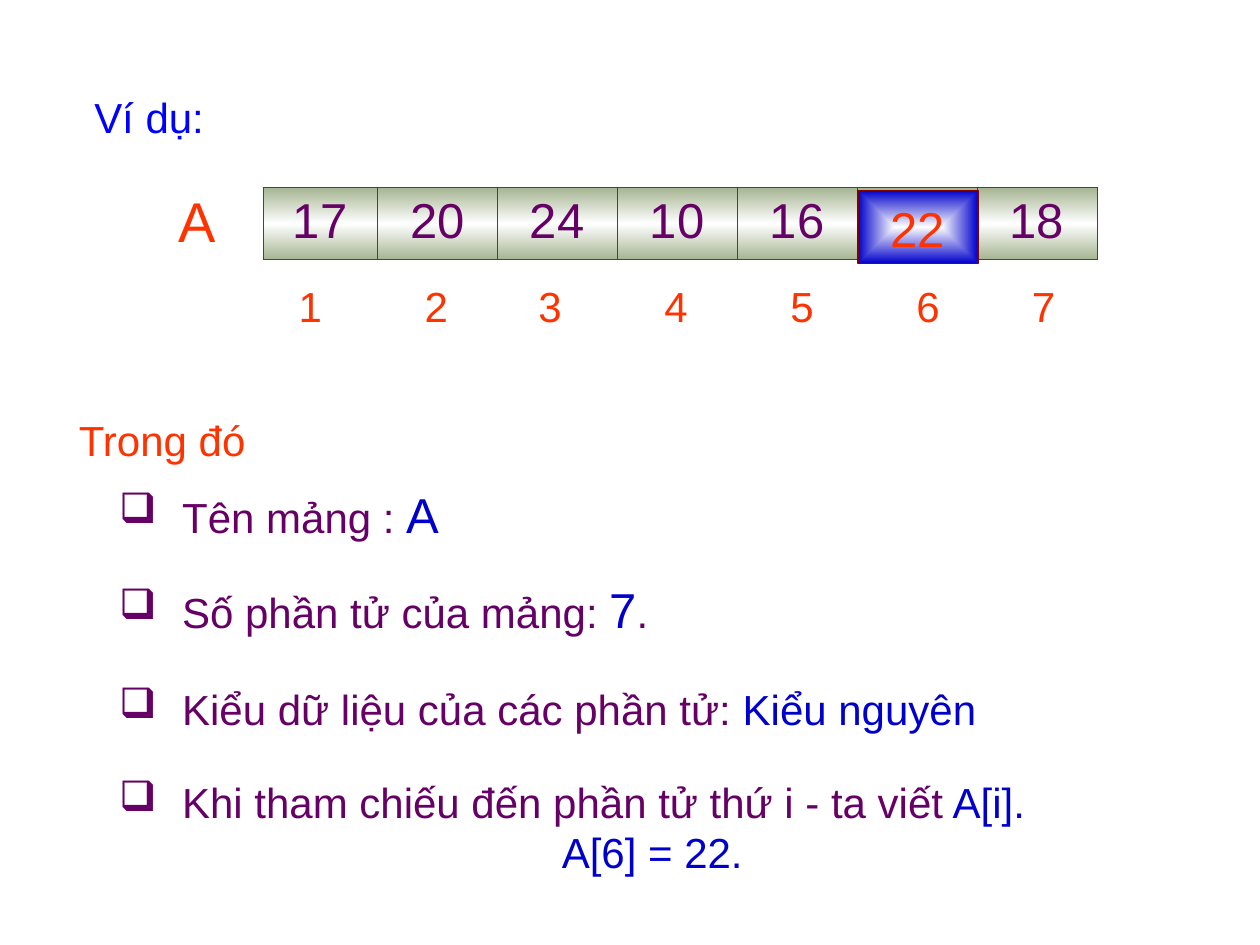
from lxml import etree
from pptx import Presentation
from pptx.dml.color import RGBColor
from pptx.enum import shapes, text
from pptx.oxml import ns
from pptx.util import Pt

COLORS = {
    "purple": "660066", "red": "FF3300", "blue": "0000CC", "title": "0000FF",
    "border": "9900CC", "frame": "800000", "sage": "A5B592",
    "white": "FFFFFF", "glow": "FEFEFE",
}
VALUES = [17, 20, 24, 10, 16, 22, 18]
FIRST_WIDTH, CELL_WIDTH = 65.3, 68.55
HIGHLIGHT = 5
INDEX_TABS = [20, 92, 157, 229, 301, 373, 439]
FONT = "Arial"


def add_node(parent, tag, **attributes):
    return etree.SubElement(parent, ns.qn(tag), attributes)


def add_solid(parent, color):
    solid = add_node(parent, "a:solidFill")
    add_node(solid, "a:srgbClr", val=COLORS[color])


def make_gradient(parent, stops):
    gradient = add_node(parent, "a:gradFill", rotWithShape="1")
    stop_list = add_node(gradient, "a:gsLst")
    for position, color in stops:
        stop = add_node(stop_list, "a:gs", pos=str(position * 1000))
        add_node(stop, "a:srgbClr", val=COLORS[color])
    return gradient


def style_font(font, size, color):
    font.name = FONT
    font.size = Pt(size)
    font.color.rgb = RGBColor.from_string(COLORS[color])


def add_label(page, area, content, size, color, spacing=None):
    left, top, width, height = area
    box = page.shapes.add_textbox(Pt(left), Pt(top), Pt(width), Pt(height))
    box.text_frame.word_wrap = True
    para = box.text_frame.paragraphs[0]
    para.text = content
    para.line_spacing = spacing
    style_font(para.font, size, color)
    return box


def set_indent(para, margin, indent=0):
    properties = para._p.get_or_add_pPr()
    properties.set("marL", str(Pt(margin)))
    properties.set("indent", str(Pt(indent)))
    return properties


def add_array(page, left, top, height):
    widths = [FIRST_WIDTH] + [CELL_WIDTH] * (len(VALUES) - 1)
    frame = page.shapes.add_table(
        1, len(VALUES), Pt(left), Pt(top), Pt(sum(widths)), Pt(height))
    table = frame.table
    table.first_row = table.horz_banding = False
    for column, (width, value) in enumerate(zip(widths, VALUES)):
        table.columns[column].width = Pt(width)
        cell = table.cell(0, column)
        para = cell.text_frame.paragraphs[0]
        para.text = str(value)
        para.alignment = text.PP_ALIGN.CENTER
        style_font(para.font, 28, "purple")
        properties = cell._tc.get_or_add_tcPr()
        for side in ("a:lnL", "a:lnR", "a:lnT", "a:lnB"):
            add_solid(add_node(properties, side, w=str(Pt(0.45))), "border")
        gradient = make_gradient(
            properties, [(0, "sage"), (50, "white"), (100, "sage")])
        add_node(gradient, "a:lin", ang="5400000", scaled="0")
    add_highlight(page, left + sum(widths[:HIGHLIGHT]) + 0.5, top + 1.5, CELL_WIDTH, 41.8)


def add_highlight(page, left, top, width, height):
    box = page.shapes.add_shape(
        shapes.MSO_SHAPE.RECTANGLE, Pt(left), Pt(top), Pt(width), Pt(height))
    box.shadow.inherit = False
    box.line.color.rgb = RGBColor.from_string(COLORS["frame"])
    box.line.width = Pt(1)
    gradient = make_gradient(box._element.spPr, [(0, "glow"), (100, "blue")])
    route = add_node(gradient, "a:path", path="rect")
    add_node(route, "a:fillToRect", l="50000", t="50000", r="50000", b="50000")
    box._element.spPr.find(ns.qn("a:prstGeom")).addnext(gradient)
    box.text_frame.vertical_anchor = text.MSO_ANCHOR.BOTTOM
    para = box.text_frame.paragraphs[0]
    para.text = str(VALUES[HIGHLIGHT])
    para.alignment = text.PP_ALIGN.CENTER
    style_font(para.font, 28, "red")


def add_indices(page, left, top, width, height):
    numbers = "".join(f"\t{number}" for number in range(1, len(VALUES) + 1))
    box = page.shapes.add_textbox(Pt(left), Pt(top), Pt(width), Pt(height))
    box.text_frame.word_wrap = True
    para = box.text_frame.paragraphs[0]
    para.text = numbers
    tabs = add_node(para._p.get_or_add_pPr(), "a:tabLst")
    for position in INDEX_TABS:
        add_node(tabs, "a:tab", pos=str(Pt(position)), algn="ctr")
    style_font(para.font, 24, "red")


def add_bullet(page, area, spans, spacing):
    left, top, width, height = area
    box = page.shapes.add_textbox(Pt(left), Pt(top), Pt(width), Pt(height))
    box.text_frame.word_wrap = True
    para = box.text_frame.paragraphs[0]
    para.line_spacing = spacing
    properties = set_indent(para, 36, -36)
    bullet_color = add_node(properties, "a:buClr")
    add_node(bullet_color, "a:srgbClr", val=COLORS["purple"])
    add_node(properties, "a:buChar", char="❑")
    for content, size, color in spans:
        span = para.add_run()
        span.text = content
        style_font(span.font, size, color)
    return box


def add_details(page, left, top):
    heading = add_label(page, (left, top, 153, 42), "Trong đó", 24, "red", 1.2)
    set_indent(heading.text_frame.paragraphs[0], 7)
    items = [
        (39, 214, 48, 1.2, [("Tên mảng : ", 24, "purple"), ("A", 28, "blue")]),
        (93.6, 333, 48, 1.2, [("Số phần tử của mảng: ", 24, "purple"),
                              ("7", 28, "blue"), (".", 24, "purple")]),
        (154, 594, 42, 1.2, [("Kiểu dữ liệu của các phần tử: ", 24, "purple"),
                             ("Kiểu nguyên", 24, "blue")]),
        (212.4, 549, 65, None, [("Khi tham chiếu đến phần tử thứ i - ta viết", 24, "purple"),
                                (" A[i].", 24, "blue")]),
    ]
    for offset, width, height, spacing, spans in items:
        box = add_bullet(page, (left + 30, top + offset, width, height), spans, spacing)
    example = box.text_frame.add_paragraph()
    example.text = "A[6] = 22."
    set_indent(example, 253)
    style_font(example.font, 24, "blue")


def main():
    deck = Presentation()
    deck.slide_width, deck.slide_height = Pt(720), Pt(540)
    page = deck.slides.add_slide(deck.slide_layouts[6])
    add_label(page, (46.8, 49, 102, 36), "Ví dụ:", 24, "title")
    add_label(page, (95, 103, 48, 46), "A", 32, "red")
    add_array(page, 150.3, 107.3, 41)
    add_indices(page, 150.3, 157, 476, 65)
    add_details(page, 31, 227.5)
    deck.save("out.pptx")


if __name__ == "__main__":
    main()
